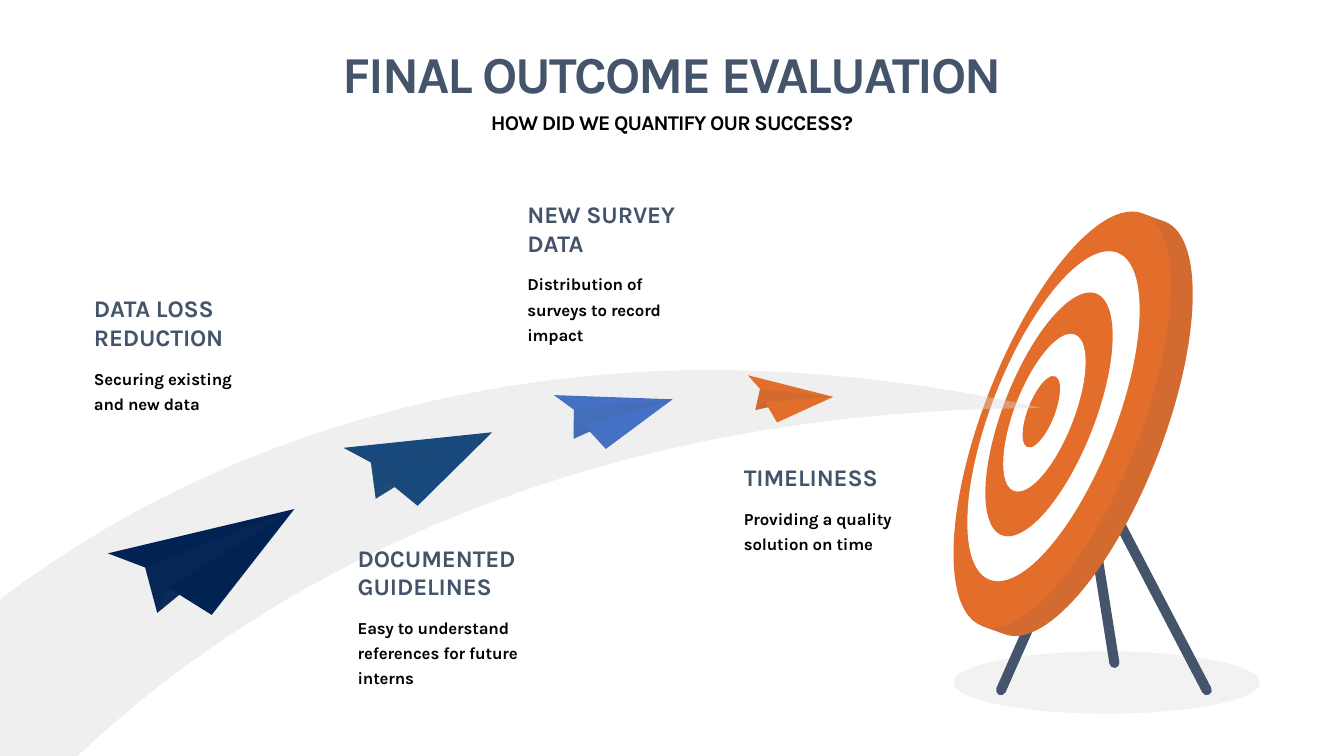
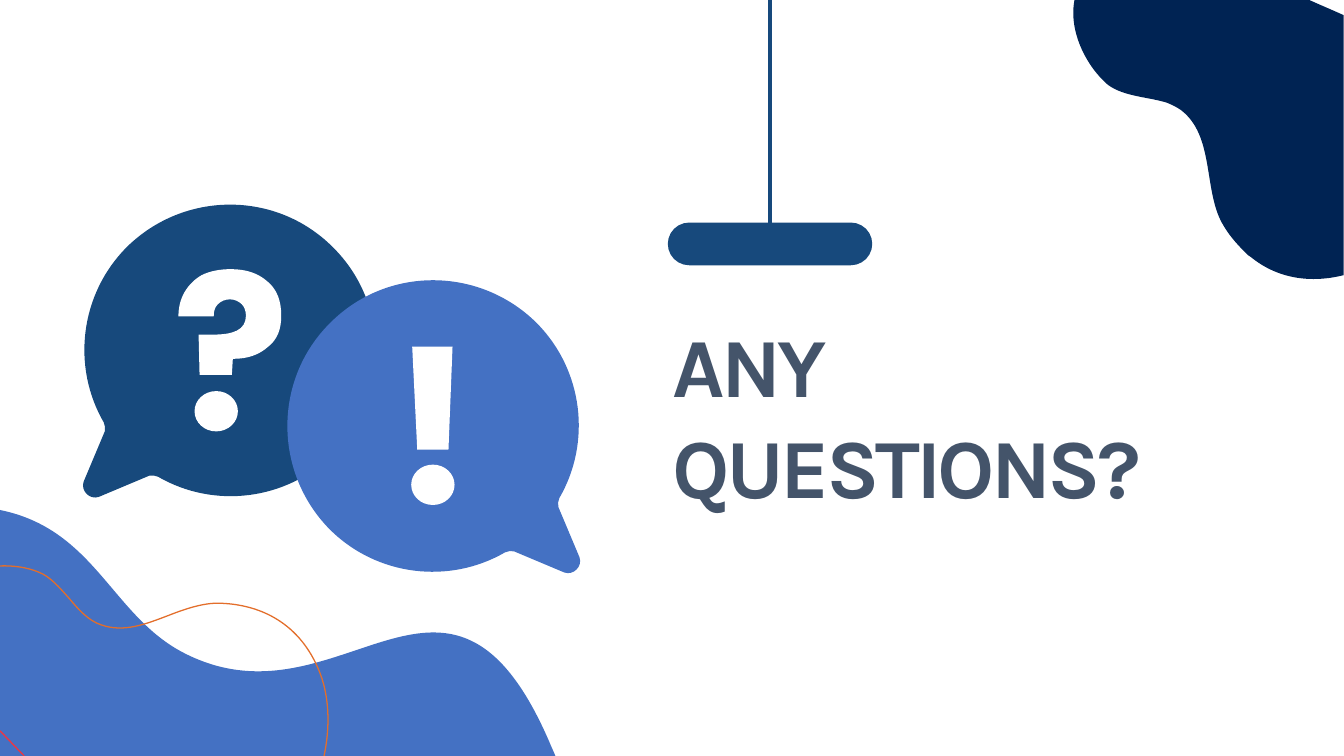
from math import cos, radians, sin

from lxml.etree import SubElement
from pptx import Presentation
from pptx.dml.color import RGBColor
from pptx.enum.shapes import MSO_CONNECTOR, MSO_SHAPE
from pptx.enum.text import MSO_ANCHOR, PP_ALIGN
from pptx.oxml.ns import qn
from pptx.util import Pt

NAVY, TEAL, BLUE = "002353", "17497C", "4471C3"
ORANGE, RUST, RED = "E36E2B", "D36B31", "E73846"
SLATE, BLACK, WHITE = "44546A", "000000", "FFFFFF"
FACE = "Karla"
GRID = 0.72  # points per outline unit
STEPS = 16  # samples per curve when measuring its box
TAGS = {"M": "a:moveTo", "L": "a:lnTo", "C": "a:cubicBezTo"}

# Outlines: M start, L line, C cubic curve
PLANE = "M -92 -9 L -55 5 L -43 50 L -21 32 L 11 52 L 93 -53"
SHADE = "M -32 25 L -21 32 L -43 50 L -55 5 L 93 -53"
FOLD = "M -32 26 L -43 50 L -21 32"
RIM = ("M 1134 212 L 1156 220 C 1195 236 1192 340 1148 453 "
       "C 1104 566 1036 645 996 629 L 974 621")
TRAIL = ("M 698 367 C 801 367 913 378 1034 405 C 512 405 210 624 77 750 "
         "L 0 750 L 0 595 C 151 479 387 370 698 367")
BUBBLE = ("M 330 245 C 274 189 183 189 126 245 C 79 292 71 364 103 419 "
          "C 104 422 105 425 104 428 L 83 478 C 80 487 89 496 98 493 "
          "L 148 472 C 151 471 154 472 157 473 C 212 505 284 497 331 450 "
          "C 387 393 387 301 330 245")
ASK = ("M 193 408 C 193 397 202.6 388 214.5 388 C 226.4 388 236 397 236 408 "
       "C 236 419 226.4 428 214.5 428 C 202.6 428 193 419 193 408 "
       "M 265 279 C 275 287 279 299 279 313 C 279 327 275 337 266 344 "
       "C 257 352 246 356 231 356 L 230 372 L 198 372 L 197 332 L 210 332 "
       "C 221 332 229 331 235 328 C 241 325 244 320 244 313 "
       "C 244 308 242 304 240 302 C 237 299 233 297 228 297 "
       "C 223 297 219 299 216 302 C 213 305 212 309 212 314 L 177 314 "
       "C 177 305 179 297 183 290 C 187 283 193 277 200 273 "
       "C 208 269 218 267 229 267 C 244 267 256 271 265 279")
SHOUT = ("M 449 344 L 445 446 L 414 446 L 409 344 "
         "M 408 481 C 408 470 417.6 461 429.5 461 C 441.4 461 451 470 451 481 "
         "C 451 492 441.4 501 429.5 501 C 417.6 501 408 492 408 481")
WAVE = ("M 551 750 L 0 750 L 0 506 C 93 525 110 608 179 646 "
        "C 336 731 444 503 545 736 C 547 741 549 745 551 750")
BLOB = ("M 1066 0 L 1299 0 C 1310 5 1322 10 1333 15 L 1333 273 "
        "C 1301 281 1268 277 1241 255 C 1240 254 1239 254 1238 253 "
        "C 1230 245 1221 236 1214 224 C 1194 192 1205 139 1175 112 "
        "C 1171 108 1165 105 1158 102 "
        "C 1139 96 1115 96 1099 84 C 1077 65 1060 30 1066 0")
CURL = ("M 0 561.5 C 14 561 27 563 38 567.5 C 50 572 59 583 68.5 593.5 "
        "C 78 605 88 616 100.5 620 C 123 628 145 619 167.5 610.5 "
        "C 184 604 202 598 218 598.5 C 268 600 304 627 319.5 673.5 "
        "C 327 697 327 724 321.5 750")


def rgb(code):
    return RGBColor.from_string(code)


def split(text, move):
    """Read an outline as (letter, placed points) pairs."""
    words, parts = text.split(), []
    while words:
        kind = words.pop(0)
        count = 6 if kind == "C" else 2
        nums = [float(word) for word in words[:count]]
        del words[:count]
        parts.append((kind, [move(*dot) for dot in zip(nums[::2], nums[1::2])]))
    return parts


def sample(parts):
    """List points on the outline, to measure its box."""
    dots = []
    for kind, ends in parts:
        if kind != "C":
            dots += ends
            continue
        ctrl = [dots[-1], *ends]
        for step in range(1, STEPS + 1):
            t = step / STEPS
            mix = (1 - t) ** 3, 3 * t * (1 - t) ** 2, 3 * t * t * (1 - t), t ** 3
            dots.append(tuple(sum(m * c[axis] for m, c in zip(mix, ctrl))
                              for axis in (0, 1)))
    return dots


class Deck:
    def __init__(self):
        self.show = Presentation()
        self.show.slide_width, self.show.slide_height = Pt(960), Pt(540)

    def page(self):
        self.slide = self.show.slides.add_slide(self.show.slide_layouts[6])
        self.shapes = self.slide.shapes

    def paint(self, shape, fill, alpha=100):
        shape.shadow.inherit = False
        shape.line.fill.background()
        shape.fill.solid()
        shape.fill.fore_color.rgb = rgb(fill)
        if alpha < 100:
            tone = shape.element.spPr.find(".//" + qn("a:srgbClr"))
            SubElement(tone, qn("a:alpha")).set("val", str(alpha * 1000))
        return shape

    def draw(self, text, at=(0, 0), size=1, turn=0, flip=1, close=True):
        c, s = size * cos(radians(turn)), size * sin(radians(turn))

        def move(x, y):
            return (Pt(GRID * (at[0] + flip * x * c - y * s)),
                    Pt(GRID * (at[1] + flip * x * s + y * c)))

        parts = split(text, move)
        dots = sample(parts)
        pen = self.shapes.build_freeform(*dots[0], scale=1.0)
        pen.add_line_segments(dots[1:], close=close)
        shape = pen.convert_to_shape()

        # Put true curves in place of the samples
        trail = shape.element.spPr.find(".//" + qn("a:path"))
        for node in list(trail):
            trail.remove(node)
        for i, (kind, ends) in enumerate(parts):
            if close and kind == "M" and i:
                SubElement(trail, qn("a:close"))
            node = SubElement(trail, qn(TAGS[kind]))
            for x, y in ends:
                dot = SubElement(node, qn("a:pt"))
                dot.set("x", str(x - shape.left))
                dot.set("y", str(y - shape.top))
        if close:
            SubElement(trail, qn("a:close"))
        return shape

    def form(self, text, fill, alpha=100, **place):
        return self.paint(self.draw(text, **place), fill, alpha)

    def curve(self, text, color, width):
        shape = self.draw(text, close=False)
        shape.shadow.inherit = False
        shape.fill.background()
        shape.line.color.rgb = rgb(color)
        shape.line.width = Pt(width)

    def block(self, kind, x, y, w, h, fill):
        return self.paint(
            self.shapes.add_shape(kind, Pt(x), Pt(y), Pt(w), Pt(h)), fill)

    def oval(self, x, y, w, h, fill, turn=0):
        """Place an ellipse by its centre."""
        shape = self.block(MSO_SHAPE.OVAL, x - w / 2, y - h / 2, w, h, fill)
        shape.rotation = turn

    def line(self, x1, y1, x2, y2, color, width, cap="flat"):
        link = self.shapes.add_connector(
            MSO_CONNECTOR.STRAIGHT, Pt(x1), Pt(y1), Pt(x2), Pt(y2))
        link.line.color.rgb = rgb(color)
        link.line.width = Pt(width)
        link.element.spPr.get_or_add_ln().set("cap", cap)
        link.element.spPr.get_or_add_effectLst()
        return link

    def text(self, x, y, w, h, words, size, color=SLATE, space=-0.1,
             align=PP_ALIGN.LEFT, anchor=MSO_ANCHOR.BOTTOM, lead=None):
        frame = self.shapes.add_textbox(
            Pt(x), Pt(y), Pt(w), Pt(h)).text_frame
        frame.word_wrap = True
        frame.vertical_anchor = anchor
        para = frame.paragraphs[0]
        para.text = words
        para.alignment = align
        if lead:
            para.line_spacing = Pt(lead)
        font = para.font
        font.name, font.size, font.bold = FACE, Pt(size), True
        font.color.rgb = rgb(color)
        props = para._p.get_or_add_pPr().get_or_add_defRPr()
        props.set("spc", str(round(space * 100)))

    def note(self, x, y, head, body, rows):
        """Heading that ends at y, with its body text below."""
        high = 20 * rows[0] + 8
        self.text(x, y - high, 145, high, head, 17)
        self.text(x, y + 1.5, 132.5, 18 * rows[1] + 6, body, 12, BLACK,
                  anchor=MSO_ANCHOR.TOP, lead=18)

    def plane(self, x, y, size, turn, fill):
        place = dict(at=(x, y), size=size, turn=turn)
        self.form(PLANE, fill, **place)
        for part in (SHADE, FOLD):
            self.form(part, SLATE, 10, **place)


def outcome(deck):
    deck.page()

    # Target on its stand
    deck.oval(790.5, 487.5, 219, 44.5, "F2F2F2")
    for leg in ((777, 353, 715, 493), (774, 335, 796, 473.5),
                (780, 336, 862, 493)):
        deck.line(*leg, SLATE, 7.2, "rnd")
    deck.form(RIM, RUST)
    rings = ((758.7, 299.7), (752.5, 297.3), (749.3, 296),
             (746, 294.8), (743.8, 294.1))
    for i, (x, y) in enumerate(rings):
        size = 1 - 0.207 * i
        deck.oval(x, y, 111.5 * size, 316.2 * size,
                  WHITE if i % 2 else ORANGE, 21.4)

    # Title
    deck.text(60, 26, 840, 52, "FINAL OUTCOME EVALUATION", 37,
              space=-1.45, align=PP_ALIGN.CENTER)
    deck.text(60, 75, 840, 25, "HOW DID WE QUANTIFY OUR SUCCESS?", 15, BLACK,
              -0.6, PP_ALIGN.CENTER, MSO_ANCHOR.TOP)

    # Flight trail and planes
    deck.form(TRAIL, "D9D9D9", 40)
    for plane in ((199, 558, 1, 0, NAVY), (411, 460.5, 0.78, 7.4, TEAL),
                  (603, 412.5, 0.62, 15.4, BLUE),
                  (777.5, 395.5, 0.46, 27.6, ORANGE)):
        deck.plane(*plane)

    # Notes
    for note in (
        (60, 254.4, "DATA LOSS REDUCTION",
         "Securing existing and new data", (2, 2)),
        (248.4, 432.6, "DOCUMENTED GUIDELINES",
         "Easy to understand references for future interns", (2, 3)),
        (369.6, 187.2, "NEW SURVEY DATA",
         "Distribution of surveys to record impact", (2, 3)),
        (524.3, 354.6, "TIMELINESS",
         "Providing a quality solution on time", (1, 2)),
    ):
        deck.note(*note)


def closing(deck):
    deck.page()

    # Speech bubbles
    deck.form(BUBBLE, TEAL)
    deck.form(BUBBLE, BLUE, at=(658, 75), flip=-1)
    deck.form(ASK, WHITE)
    deck.form(SHOUT, WHITE)

    # Hanging pill
    deck.form(WAVE, BLUE)
    pill = deck.block(MSO_SHAPE.ROUNDED_RECTANGLE, 477, 159, 146, 30.5, TEAL)
    pill.adjustments[0] = 0.5
    deck.line(550, 0, 550, 159, TEAL, 3).end_connect(pill, 0)

    # Corner shapes
    deck.form(BLOB, NAVY)
    deck.curve(CURL, ORANGE, 0.9)
    deck.line(0, 522, 17.3, 540, RED, 1)

    deck.text(473.6, 219, 437, 152.5, "ANY QUESTIONS?", 60, space=-2.8)


def main():
    deck = Deck()
    outcome(deck)
    closing(deck)
    deck.show.save("out.pptx")


if __name__ == "__main__":
    main()
